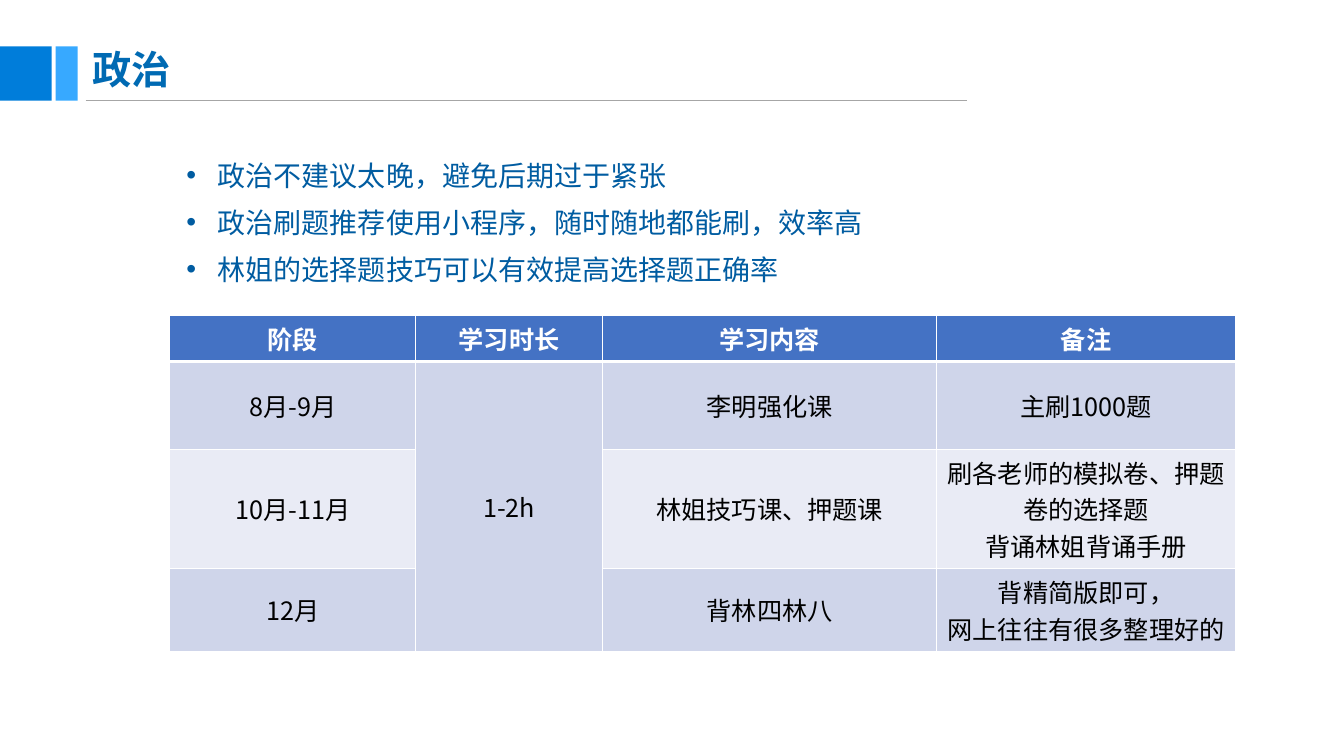
"""Build the politics study plan slide."""
from lxml.etree import SubElement
from pptx import Presentation
from pptx.dml.color import RGBColor
from pptx.enum.shapes import MSO_CONNECTOR, MSO_SHAPE
from pptx.enum.text import MSO_ANCHOR, PP_ALIGN
from pptx.oxml.ns import qn
from pptx.util import Cm, Pt

WHITE = RGBColor(0xFF, 0xFF, 0xFF)
BLACK = RGBColor(0x00, 0x00, 0x00)
BLUE = RGBColor(0x00, 0x7D, 0xDA)
LIGHT_BLUE = RGBColor(0x37, 0xA9, 0xFF)
TITLE_BLUE = RGBColor(0x00, 0x6A, 0xB3)
TEXT_BLUE = RGBColor(0x00, 0x5C, 0xA1)
GRAY = RGBColor(0xA6, 0xA6, 0xA6)
HEADER = RGBColor(0x44, 0x72, 0xC4)
BANDS = (RGBColor(0xE9, 0xEB, 0xF5), RGBColor(0xCF, 0xD5, 0xEA))

ADVICE = (
    "政治不建议太晚，避免后期过于紧张",
    "政治刷题推荐使用小程序，随时随地都能刷，效率高",
    "林姐的选择题技巧可以有效提高选择题正确率",
)
PLAN = (
    ("阶段", "学习时长", "学习内容", "备注"),
    ("8月-9月", "1-2h", "李明强化课", "主刷1000题"),
    ("10月-11月", "", "林姐技巧课、押题课",
     "刷各老师的模拟卷、押题卷的选择题\n背诵林姐背诵手册"),
    ("12月", "", "背林四林八", "背精简版即可，\n网上往往有很多整理好的"),
)
COLUMN_WIDTHS = (6.2, 4.7, 8.43, 7.52)
ROW_HEIGHTS = (1.16, 2.21, 3.01, 2.08)


class PlanSlide:
    """Hold the style and the current slide."""

    font_name = "Noto Sans CJK SC"

    def __init__(self, deck):
        self.page = deck.slides.add_slide(deck.slide_layouts[6])

    def style(self, para, size, color, bold=False):
        font = para.font
        font.name, font.size, font.bold = self.font_name, Pt(size), bold
        font.color.rgb = color
        defaults = para._p.get_or_add_pPr().find(qn("a:defRPr"))
        SubElement(defaults, qn("a:ea"), typeface=self.font_name)

    def block(self, left, top, width, height, color):
        shape = self.page.shapes.add_shape(
            MSO_SHAPE.RECTANGLE, Cm(left), Cm(top), Cm(width), Cm(height))
        shape.shadow.inherit = False
        shape.fill.solid()
        shape.fill.fore_color.rgb = color
        shape.line.fill.background()

    def rule(self, left, right, top, color):
        line = self.page.shapes.add_connector(
            MSO_CONNECTOR.STRAIGHT, Cm(left), Cm(top), Cm(right), Cm(top))
        line.line.color.rgb = color
        line.line.width = Pt(1)
        SubElement(line._element.spPr, qn("a:effectLst"))

    def text_frame(self, left, top, width, height, anchor):
        box = self.page.shapes.add_textbox(
            Cm(left), Cm(top), Cm(width), Cm(height))
        frame = box.text_frame
        frame.word_wrap = True
        frame.vertical_anchor = anchor
        return frame

    def title(self, text, left, top, width, height):
        frame = self.text_frame(left, top, width, height, MSO_ANCHOR.MIDDLE)
        frame.text = text
        para = frame.paragraphs[0]
        para.line_spacing = 0.9
        self.style(para, 28, TITLE_BLUE, bold=True)

    def bullets(self, lines, left, top, width, height):
        frame = self.text_frame(left, top, width, height, MSO_ANCHOR.TOP)
        frame.text = "\n".join(lines)
        for para in frame.paragraphs:
            para.level = 1
            properties = para._p.get_or_add_pPr()
            properties.set("marL", str(Cm(2.06)))
            properties.set("indent", str(Cm(-0.79)))
            SubElement(properties, qn("a:buFont"), typeface="Arial")
            SubElement(properties, qn("a:buChar"), char="•")
            para.line_spacing = 1.4
            self.style(para, 20, TEXT_BLUE)

    def borders(self, cell, top, bottom):
        properties = cell._tc.get_or_add_tcPr()
        for side, width in zip("LRTB", (1, 1, top, bottom)):
            line = SubElement(properties, qn(f"a:ln{side}"), w=str(Pt(width)))
            fill = SubElement(line, qn("a:solidFill"))
            SubElement(fill, qn("a:srgbClr"), val=str(WHITE))

    def cell(self, cell, text, row):
        is_header = row == 0
        self.borders(cell, 3 if row == 1 else 1, 3 if is_header else 1)
        cell.fill.solid()
        cell.fill.fore_color.rgb = HEADER if is_header else BANDS[row % 2]
        cell.vertical_anchor = MSO_ANCHOR.MIDDLE
        cell.text = text
        for para in cell.text_frame.paragraphs:
            para.alignment = PP_ALIGN.CENTER
            self.style(para, 18, WHITE if is_header else BLACK, is_header)

    def table(self, rows, left, top):
        table = self.page.shapes.add_table(
            len(rows), len(rows[0]), Cm(left), Cm(top),
            Cm(sum(COLUMN_WIDTHS)), Cm(sum(ROW_HEIGHTS))).table
        for column, width in zip(table.columns, COLUMN_WIDTHS):
            column.width = Cm(width)
        for row, height in zip(table.rows, ROW_HEIGHTS):
            row.height = Cm(height)
        for row, texts in enumerate(rows):
            for column, text in enumerate(texts):
                self.cell(table.cell(row, column), text, row)
        table.cell(1, 1).merge(table.cell(len(rows) - 1, 1))


def main():
    deck = Presentation()
    deck.slide_width, deck.slide_height = Cm(33.87), Cm(19.05)
    plan = PlanSlide(deck)
    plan.block(0, 1.17, 1.3, 1.37, BLUE)
    plan.block(1.4, 1.17, 0.56, 1.37, LIGHT_BLUE)
    plan.rule(2.16, 24.38, 2.54, GRAY)
    plan.title("政治", 2.08, 1.12, 22.23, 1.37)
    plan.table(PLAN, 4.28, 7.95)
    plan.bullets(ADVICE, 3.18, 3.52, 19.46, 3.66)
    deck.save("out.pptx")


if __name__ == "__main__":
    main()
